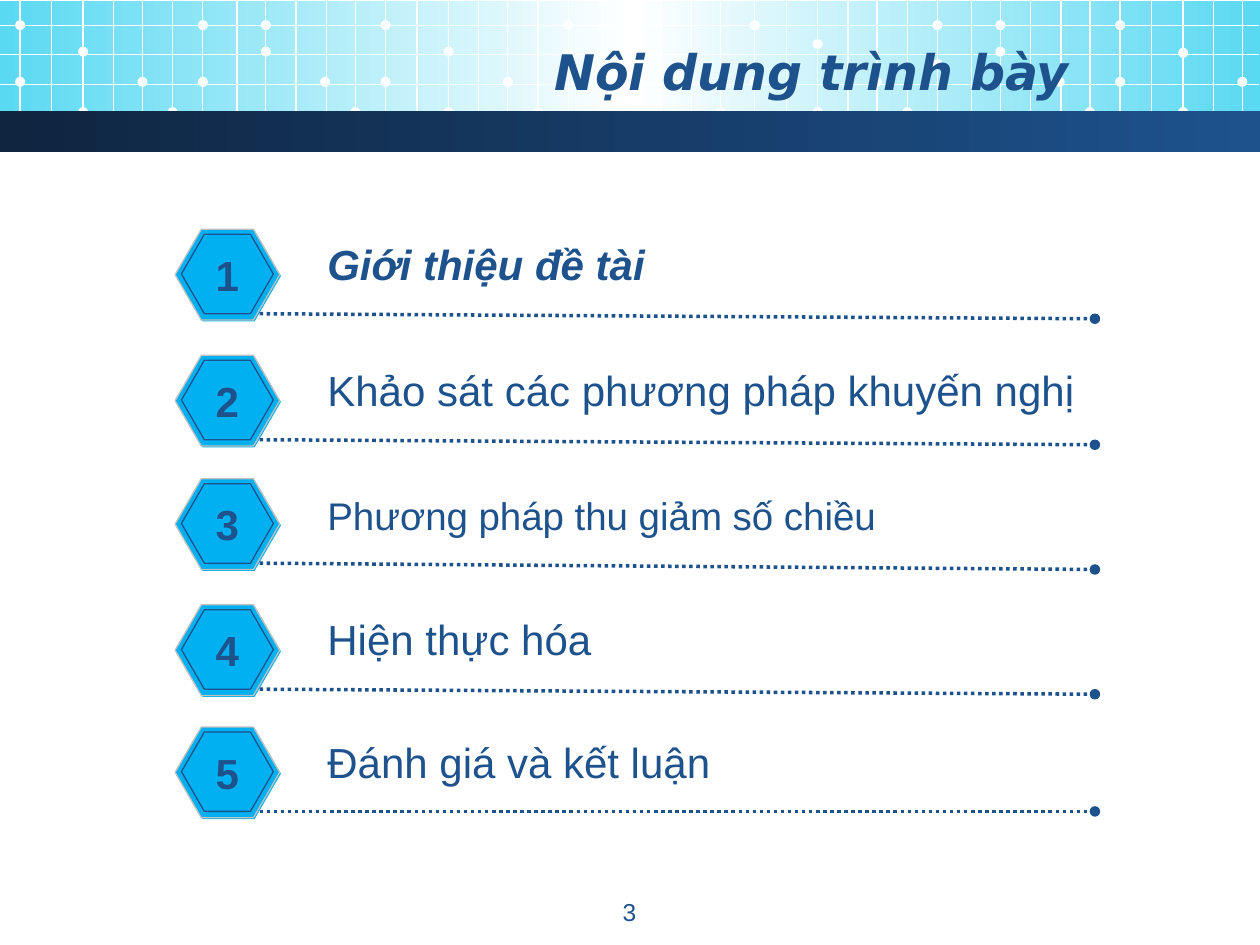
from lxml.etree import SubElement
from pptx import Presentation
from pptx.dml.color import RGBColor
from pptx.enum.dml import MSO_LINE
from pptx.enum.shapes import MSO_CONNECTOR, MSO_SHAPE
from pptx.enum.text import MSO_ANCHOR, MSO_AUTO_SIZE, PP_ALIGN
from pptx.oxml.ns import qn
from pptx.util import Inches, Pt

NAVY = "1D528D"
CYAN = "5AD9F2"
BLUE = "00B0F0"
WHITE = "FFFFFF"
SILVER = "C0C0C0"

COLUMN_OFFSETS = (0, 0.25, 0.5, 0.74, 0.97, 1.21, 1.45, 1.72, 1.95, 2.19, 2.43, 2.66)
GRID_ROWS = (0.2, 0.43, 0.67, 0.89)
GRID_BLOCKS = ((0.16, 0.41, 0.65), (3.06, 0.41, 0.43), (5.99, 0.35, 0.51), (8.89, 0.42, 0.65))

AGENDA = (
    ("Giới thiệu đề tài", 1.82, 1.84, 2.76, 2.53, 24),
    ("Khảo sát các phương pháp khuyến nghị", 2.82, 2.84, 6.19, 3.53, 24),
    ("Phương pháp thu giảm số chiều", 3.8, 3.86, 4.7, 4.52, 22),
    ("Hiện thực hóa", 4.8, 4.82, 2.32, 5.51, 24),
    ("Đánh giá và kết luận", 5.77, 5.8, 3.27, 6.44, 24),
)


def color(value):
    return RGBColor.from_string(value)


def add_figure(slide, kind, left, top, width, height, fill=None, outline=None):
    figure = slide.shapes.add_shape(kind, Inches(left), Inches(top), Inches(width), Inches(height))
    figure.shadow.inherit = False
    if fill:
        figure.fill.solid()
        figure.fill.fore_color.rgb = color(fill)
    if outline:
        figure.line.color.rgb = color(outline)
        figure.line.width = Pt(0.75)
    else:
        figure.line.fill.background()
    return figure


def add_gradient_band(slide, top, height, colors):
    band = add_figure(slide, MSO_SHAPE.RECTANGLE, 0, top, 10, height)
    band.fill.gradient()
    band.fill.gradient_angle = 0
    stops = band.fill.gradient_stops
    stops[0].color.rgb = color(colors[0])
    stops[1].color.rgb = color(colors[-1])
    stop_list = band._element.spPr.find(qn("a:gradFill")).find(qn("a:gsLst"))
    for index, value in enumerate(colors[1:-1], 1):
        stop = stop_list.makeelement(qn("a:gs"), {"pos": str(100000 * index // (len(colors) - 1))})
        SubElement(stop, qn("a:srgbClr"), val=value)
        stop_list.insert(index, stop)


def add_line(slide, x1, y1, x2, y2, stroke, width):
    line = slide.shapes.add_connector(
        MSO_CONNECTOR.STRAIGHT, Inches(x1), Inches(y1), Inches(x2), Inches(y2)
    )
    line.line.color.rgb = color(stroke)
    line.line.width = Pt(width)
    SubElement(line._element.spPr, qn("a:effectLst"))
    return line


def add_dotted_rule(slide, x1, y1, x2, y2):
    rule = add_line(slide, x1, y1, x2, y2, NAVY, 2)
    rule.line.dash_style = MSO_LINE.ROUND_DOT
    SubElement(rule.line._get_or_add_ln(), qn("a:tailEnd"), type="oval")


def add_text(slide, text, left, top, width, height, size, align=PP_ALIGN.LEFT,
             font="Arial", bold=False, italic=False, anchor=MSO_ANCHOR.TOP, grow=False):
    box = slide.shapes.add_textbox(Inches(left), Inches(top), Inches(width), Inches(height))
    frame = box.text_frame
    frame.word_wrap = not grow
    frame.auto_size = MSO_AUTO_SIZE.SHAPE_TO_FIT_TEXT if grow else MSO_AUTO_SIZE.NONE
    frame.vertical_anchor = anchor
    paragraph = frame.paragraphs[0]
    paragraph.alignment = align
    run = paragraph.add_run()
    run.text = text
    run.font.name = font
    run.font.size = Pt(size)
    run.font.bold = bold
    run.font.italic = italic
    run.font.color.rgb = color(NAVY)


def add_header(slide):
    add_gradient_band(slide, 0.01, 1.02, (CYAN, WHITE, CYAN))
    for start, third_y, seventh_y in GRID_BLOCKS:
        dots = (
            (0, 0.65), (0, 0.2), (0.5, third_y), (0.5, 0.89), (0.97, 0.65), (1.21, 0.89),
            (1.45, seventh_y), (1.45, 0.2), (1.95, 0.41), (1.95, 0.2), (2.42, 0.65), (2.66, 0.89),
        )
        for offset, y in dots:
            if start + offset < 10:
                add_figure(slide, MSO_SHAPE.OVAL, start + offset - 0.04, y - 0.04, 0.08, 0.08, WHITE)
        for offset in COLUMN_OFFSETS:
            x = start + offset
            if x < 10:
                add_line(slide, x, 0, x, 1.1, WHITE, 0.75)
    for y in GRID_ROWS:
        add_line(slide, 0, y, 9.99, y, WHITE, 0.75)
    add_gradient_band(slide, 0.88, 0.33, ("0F2540", NAVY))
    add_text(slide, "Nội dung trình bày", 0.5, 0.25, 8.08, 0.62, 28, PP_ALIGN.RIGHT,
             font="DejaVu Sans", bold=True, italic=True, anchor=MSO_ANCHOR.MIDDLE)


def add_badge(slide, number, top):
    layers = (
        (1.4, top + 0.01, 0.83, 0.72, None),
        (1.39, top, 0.83, 0.72, SILVER),
        (1.44, top + 0.04, 0.73, 0.63, NAVY),
    )
    for left, layer_top, width, height, outline in layers:
        hexagon = add_figure(slide, MSO_SHAPE.HEXAGON, left, layer_top, width, height, BLUE, outline)
        hexagon.adjustments[0] = 0.289
        hexagon.adjustments[1] = 1.155
    add_text(slide, str(number), 1.61, top + 0.11, 0.39, 0.5, 24, PP_ALIGN.CENTER,
             bold=True, grow=True)


def add_agenda_item(slide, number, topic, badge_top, topic_top, topic_width, rule_end, size):
    current = number == 1
    add_badge(slide, number, badge_top)
    add_dotted_rule(slide, 2.06, badge_top + 0.67, 8.69, rule_end)
    add_text(slide, topic, 2.5, topic_top, topic_width, 0.5, size,
             bold=current, italic=current, grow=True)


def main():
    deck = Presentation()
    deck.slide_width = Inches(10)
    deck.slide_height = Inches(7.5)
    slide = deck.slides.add_slide(deck.slide_layouts[6])
    add_header(slide)
    add_text(slide, "3", 3.83, 7.07, 2.33, 0.35, 14, PP_ALIGN.CENTER)
    for number, item in enumerate(AGENDA, 1):
        add_agenda_item(slide, number, *item)
    deck.save("out.pptx")


if __name__ == "__main__":
    main()
